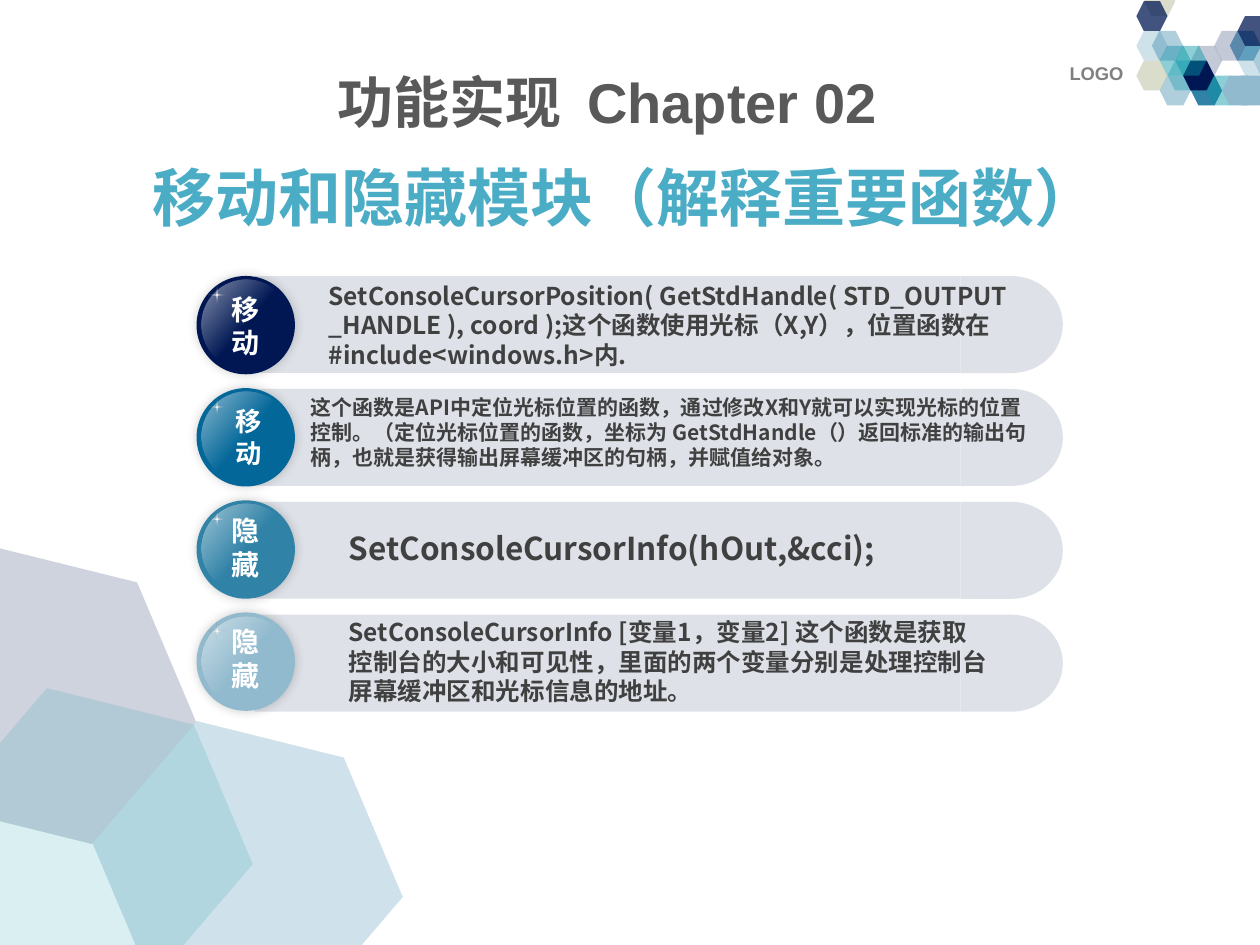
from dataclasses import dataclass

from lxml.etree import SubElement
from pptx import Presentation
from pptx.dml.color import RGBColor
from pptx.enum.shapes import MSO_SHAPE as SHAPE
from pptx.enum.text import MSO_ANCHOR as ANCHOR, PP_ALIGN as ALIGN
from pptx.oxml.ns import qn
from pptx.util import Pt

COLORS = {
    "navy": "001753", "blue": "036799", "steel": "3082A7", "sky": "91BACE",
    "teal": "0797A6", "olive": "AFB591", "bar": "17375E", "title": "4BACC6",
    "body": "404040", "chapter": "595959", "logo": "808080",
    "white": "FFFFFF", "black": "000000",
}
CJK, LATIN = "Noto Sans CJK SC", "Arial"


@dataclass
class Hexagon:
    col: float
    row: int
    color: str
    alpha: int = 100
    width: float = 17.8


@dataclass
class LargeHexagon:
    left: float
    top: float
    color: str
    alpha: int


@dataclass
class Item:
    label: str
    label_box: tuple[float, float, float, float]
    label_size: int
    color: str
    text: str
    text_box: tuple[float, float, float, float]
    text_size: int


HEXAGONS = [
    Hexagon(3, 5, "steel", 38), Hexagon(3, 3, "teal", 46),
    Hexagon(7, 5, "steel"), Hexagon(7, 3, "navy", 23),
    Hexagon(4, 4, "teal", 34), Hexagon(6, 4, "navy"),
    Hexagon(9, 5, "teal", 46), Hexagon(12.5, 5, "sky", width=19.4),
    Hexagon(11, 5, "sky", width=19.4), Hexagon(13, 3, "steel", 23),
    Hexagon(15, 3, "steel", 23), Hexagon(12, 2, "blue", 54),
    Hexagon(13, 1, "navy", 74), Hexagon(10, 2, "navy", 23),
    Hexagon(5, 3, "teal", 46), Hexagon(2, 2, "steel", 38),
    Hexagon(1, -1, "olive", 46), Hexagon(0, 4, "olive", 46),
    Hexagon(0, 2, "steel", 23), Hexagon(0, 0, "navy", 74),
]
LARGE_HEXAGONS = [
    LargeHexagon(-61.2, 319.7, "navy", 19),
    LargeHexagon(56.9, 419.8, "blue", 19),
    LargeHexagon(-28.8, 401, "teal", 15),
]
ITEMS = [
    Item("移动", (117.4, 163.4, 46.1, 46.1), 16, "navy",
         "SetConsoleCursorPosition( GetStdHandle( STD_OUTPUT_HANDLE ), coord );"
         "这个函数使用光标（X,Y），位置函数在#include<windows.h>内.",
         (180.7, 157, 404.6, 58.3), 14),
    Item("移动", (117.4, 228.2, 49, 43.2), 15, "blue",
         "这个函数是API中定位光标位置的函数，通过修改X和Y就可以实现光标的位置控制。"
         "（定位光标位置的函数，坐标为 GetStdHandle（）返回标准的输出句柄，"
         "也就是获得输出屏幕缓冲区的句柄，并赋值给对象。",
         (170.6, 221.8, 429.8, 51.1), 12),
    Item("隐藏", (117.4, 290.2, 46.1, 46.1), 16, "steel",
         "SetConsoleCursorInfo(hOut,&cci);", (192.2, 298.8, 360, 28.8), 18),
    Item("隐藏", (117.4, 353.5, 46.1, 46.1), 16, "sky",
         "SetConsoleCursorInfo [变量1，变量2] 这个函数是获取控制台的大小和可见性，"
         "里面的两个变量分别是处理控制台屏幕缓冲区和光标信息的地址。",
         (192.2, 349.2, 379.4, 58.3), 14),
]

prs = Presentation()
prs.slide_width, prs.slide_height = Pt(720), Pt(540)
slide = prs.slides.add_slide(prs.slide_layouts[5])


def add_color(parent, color: str, alpha: int):
    clr = SubElement(parent, qn("a:srgbClr"), val=COLORS[color])
    SubElement(clr, qn("a:alpha"), val=str(alpha * 1000))


def add_shape(kind, left: float, top: float, width: float, height: float,
              color: str, alpha: int = 100):
    sp = slide.shapes.add_shape(kind, Pt(left), Pt(top), Pt(width), Pt(height))
    sp.shadow.inherit = False
    sp.line.fill.background()
    sp.fill.solid()
    sp.fill.fore_color.rgb = RGBColor.from_string(COLORS[color])
    if alpha < 100:
        clr = sp.fill._xPr.find(qn("a:solidFill"))[0]
        SubElement(clr, qn("a:alpha"), val=str(alpha * 1000))
    return sp


def set_white_gradient(sp, stops: list[tuple[int, int]], angle: int | None = None):
    """Fade white by (position, opacity) stops, linear or circular."""
    sp.fill.gradient()
    grad = sp.fill._xPr.find(qn("a:gradFill"))
    for child in list(grad):
        grad.remove(child)
    stop_list = SubElement(grad, qn("a:gsLst"))
    for pos, alpha in stops:
        add_color(SubElement(stop_list, qn("a:gs"), pos=str(pos * 1000)), "white", alpha)
    if angle is None:
        circle = SubElement(grad, qn("a:path"), {"path": "circle"})
        SubElement(circle, qn("a:fillToRect"), l="50000", t="50000", r="50000", b="50000")
    else:
        SubElement(grad, qn("a:lin"), ang=str(angle * 60000), scaled="0")


def add_run(p, text: str, size: float, color: str, font: str = CJK):
    r = p.add_run()
    r.text = text
    r.font.size, r.font.bold, r.font.name = Pt(size), True, font
    r.font.color.rgb = RGBColor.from_string(COLORS[color])
    SubElement(r.font._element, qn("a:ea"), typeface=CJK)


def add_text_box(left: float, top: float, width: float, height: float):
    tf = slide.shapes.add_textbox(Pt(left), Pt(top), Pt(width), Pt(height)).text_frame
    tf.word_wrap = True
    return tf


def add_lines(box: tuple, lines: list[str], size: int, color: str, align):
    tf = add_text_box(*box)
    for i, line in enumerate(lines):
        p = tf.add_paragraph() if i else tf.paragraphs[0]
        p.alignment, p.line_spacing = align, Pt(1.2 * size)
        add_run(p, line, size, color)


def add_ball(top: float, color: str):
    ball = add_shape(SHAPE.OVAL, 112.3, top, 56.2, 56.2, color)
    effects = ball._element.spPr.find(qn("a:effectLst"))
    shadow = SubElement(effects, qn("a:outerShdw"), blurRad=str(Pt(6)), dist="0",
                        dir=str(315 * 60000), algn="ctr", rotWithShape="0")
    add_color(shadow, "black", 20)
    star = add_shape(SHAPE.STAR_4_POINT, 117.4, top + 4.3, 13, 13, "white")
    star.adjustments[0] = 0.04
    set_white_gradient(star, [(0, 100), (66, 0), (100, 0)])
    gloss = add_shape(SHAPE.OVAL, 115.2, top + 2.2, 51.1, 51.1, "white")
    set_white_gradient(gloss, [(0, 0), (50, 0), (100, 54)], angle=220)


# Hexagon decoration
for h in HEXAGONS:
    add_shape(SHAPE.HEXAGON, 649.4 + 4.45 * h.col, 0.7 + 8.5 * h.row,
              h.width, 17, h.color, h.alpha)
for big in LARGE_HEXAGONS:
    sp = add_shape(SHAPE.HEXAGON, big.left, big.top, 169.2, 154.8, big.color, big.alpha)
    sp.rotation = 130.5

# Headings
logo = add_text_box(604.1, 31.7, 46.8, 20.2)
logo.word_wrap = False
add_run(logo.paragraphs[0], "LOGO", 10.5, "logo", LATIN)

title = slide.shapes.title
title.left, title.top, title.width, title.height = Pt(82.1), Pt(74.2), Pt(556.6), Pt(75.6)
tf = title.text_frame
tf.vertical_anchor = ANCHOR.MIDDLE
tf.margin_left = tf.margin_right = Pt(5)
tf.margin_top = tf.margin_bottom = Pt(2.9)
tf.paragraphs[0].alignment = ALIGN.LEFT
add_run(tf.paragraphs[0], "移动和隐藏模块（解释重要函数）", 36, "title", LATIN)

p = add_text_box(185.8, 35.3, 348.5, 46.1).paragraphs[0]
add_run(p, "功能实现  ", 32, "chapter")
add_run(p, "Chapter 02", 32, "chapter", LATIN)

# Bars, balls and their texts
for i, item in enumerate(ITEMS):
    bar_top = 157.8 + 64.5 * i
    add_shape(SHAPE.FLOWCHART_DELAY, 549, bar_top, 58.3, 55.4, "bar", 14)
    add_shape(SHAPE.RECTANGLE, 145.6, bar_top, 403.4, 55.4, "bar", 14)
    add_ball(157.7 + 64.1 * i, item.color)
    add_lines(item.label_box, list(item.label), item.label_size, "white", ALIGN.CENTER)
    add_lines(item.text_box, [item.text], item.text_size, "body", ALIGN.LEFT)

prs.save("out.pptx")
